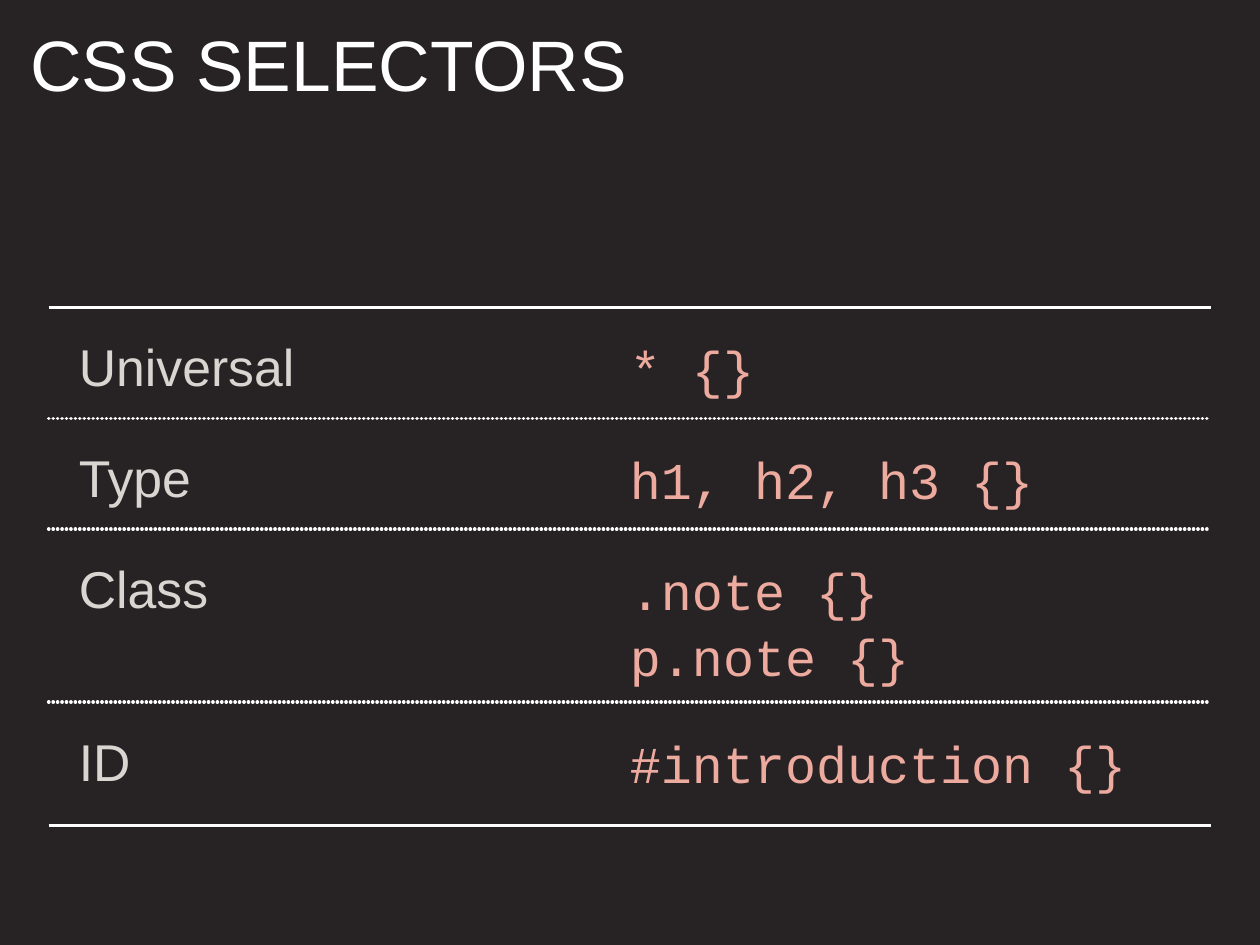
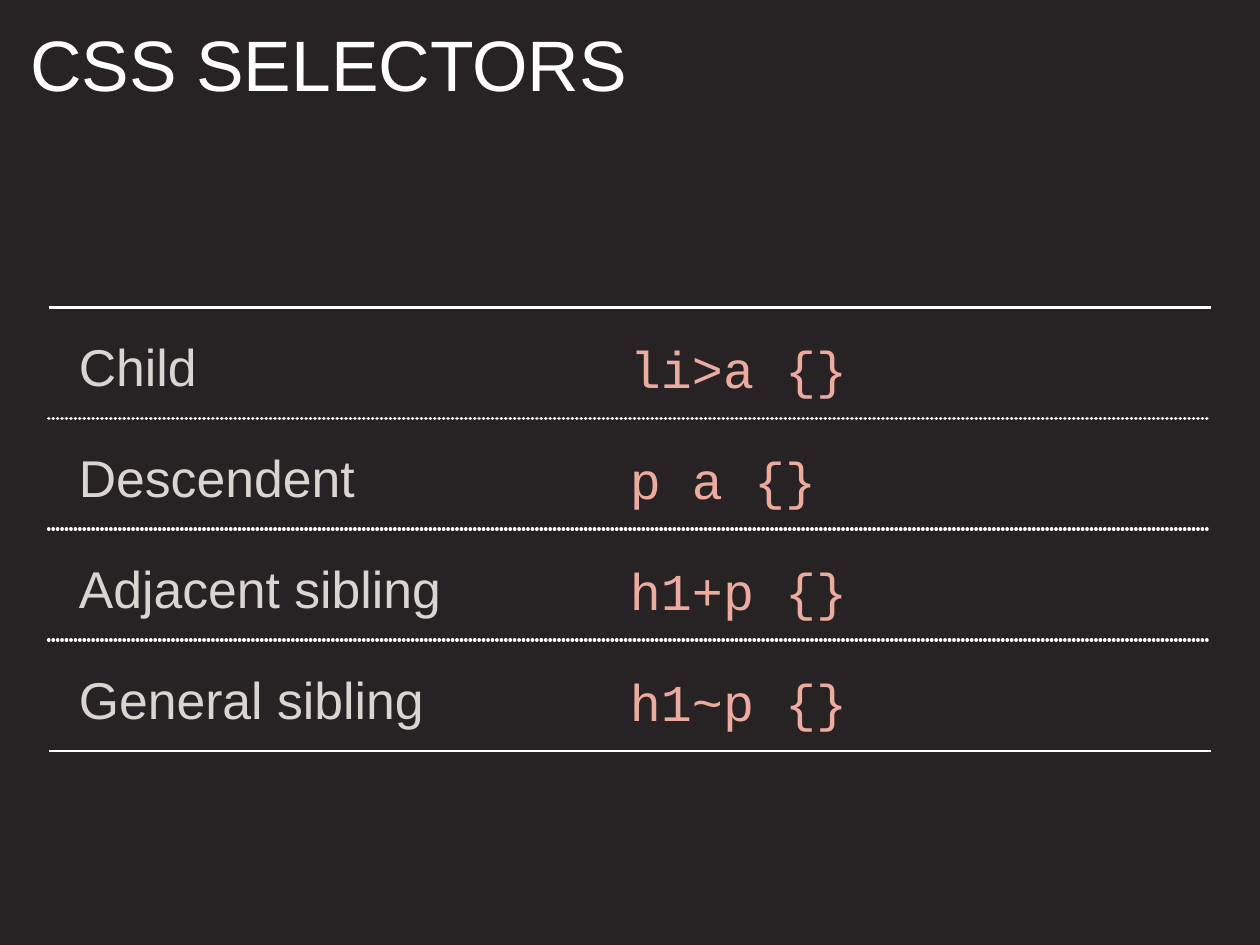
from typing import NamedTuple

from lxml import etree
from pptx import Presentation
from pptx.dml.color import RGBColor
from pptx.enum.shapes import MSO_CONNECTOR
from pptx.enum.text import MSO_ANCHOR
from pptx.oxml.ns import qn
from pptx.util import Inches, Pt

STRAIGHT = MSO_CONNECTOR.STRAIGHT
TOP, MIDDLE = MSO_ANCHOR.TOP, MSO_ANCHOR.MIDDLE

SLIDE_W, SLIDE_H = 14.22, 10.66
BACKGROUND, WHITE = "272224", "FFFFFF"

RULE_LEFT, RULE_RIGHT = 0.55, SLIDE_W - 0.55
TABLE_TOP = 3.47
ROW_H = 1.25
CELL_OFFSET = 0.22
CELL_H, EXTRA_LINE_H = 0.81, 0.69
LEAD = 0.07  # room above the first line of every text


class TextStyle(NamedTuple):
    font: str
    size: int
    colour: str
    spacing: float
    inset: float = 0


class Column(NamedTuple):
    left: float
    width: float
    style: TextStyle


class Row(NamedTuple):
    label: str
    code: str
    height: float = ROW_H
    code_anchor: MSO_ANCHOR = MIDDLE


TITLE = TextStyle("Arial", 58, WHITE, 0.8, 0.06)
LABELS = Column(0.89, 4.31, TextStyle("Arial", 42, "D9D5D1", 1.0))
CODES = Column(SLIDE_W / 2, 6.4, TextStyle("Courier New", 42, "EDAA9F", 1.06))

SLIDES = [
    ("CSS SELECTORS", [
        Row("Universal", "* {}"),
        Row("Type", "h1, h2, h3 {}"),
        Row("Class", ".note {}\np.note {}", 1.95, TOP),
        Row("ID", "#introduction {}", 1.39),
    ]),
    ("CSS SELECTORS", [
        Row("Child", "li>a {}"),
        Row("Descendent", "p a {}"),
        Row("Adjacent sibling", "h1+p {}", code_anchor=TOP),
        Row("General sibling", "h1~p {}"),
    ]),
]


def rgb(colour: str) -> RGBColor:
    return RGBColor.from_string(colour)


def add_text(s, text: str, left: float, top: float, width: float,
             height: float, style: TextStyle, anchor=TOP) -> None:
    sp = s.shapes.add_textbox(*map(Inches, (left, top, width, height)))
    tf = sp.text_frame
    inset = Inches(style.inset)
    frame_format = {
        "word_wrap": True, "vertical_anchor": anchor,
        "margin_left": inset, "margin_right": inset,
        "margin_top": Inches(style.inset + LEAD), "margin_bottom": inset,
    }
    for name, value in frame_format.items():
        setattr(tf, name, value)
    tf.text = text
    for p in tf.paragraphs:
        p.line_spacing = style.spacing
        for r in p.runs:
            for name, value in {"name": style.font, "size": Pt(style.size)}.items():
                setattr(r.font, name, value)
            r.font.color.rgb = rgb(style.colour)


def add_rule(s, y: float, dotted: bool) -> None:
    """Draw a rule across the table: solid at its edges, dotted between rows."""
    rule = s.shapes.add_connector(
        STRAIGHT, *map(Inches, (RULE_LEFT, y, RULE_RIGHT, y)))
    rule.line.color.rgb = rgb(WHITE)
    rule.line.width = Pt(3 if dotted else 2)
    sp_pr = rule.line._get_or_add_ln().getparent()
    if dotted:
        ln = sp_pr.find(qn("a:ln"))
        ln.set("cap", "rnd")
        dash = etree.SubElement(ln, qn("a:custDash"))
        etree.SubElement(dash, qn("a:ds"), d="100000", sp="20000")
    etree.SubElement(sp_pr, qn("a:effectLst"))


def add_rows(s, rows: list[Row]) -> None:
    y = TABLE_TOP
    add_rule(s, y, dotted=False)
    for i, row in enumerate(rows, 1):
        cells = [(LABELS, row.label, MIDDLE), (CODES, row.code, row.code_anchor)]
        for column, text, anchor in cells:
            height = CELL_H + EXTRA_LINE_H * text.count("\n")
            add_text(s, text, column.left, y + CELL_OFFSET, column.width,
                     height, column.style, anchor)
        y += row.height
        add_rule(s, y, dotted=i < len(rows))


def add_slide(prs, title: str, rows: list[Row]) -> None:
    s = prs.slides.add_slide(prs.slide_layouts[6])
    fill = s.background.fill
    fill.solid()
    fill.fore_color.rgb = rgb(BACKGROUND)
    add_text(s, title, 0.28, 0.28, 13.61, SLIDE_H / 4, TITLE)
    add_rows(s, rows)


def main() -> None:
    prs = Presentation()
    prs.slide_width, prs.slide_height = Inches(SLIDE_W), Inches(SLIDE_H)
    for title, rows in SLIDES:
        add_slide(prs, title, rows)
    prs.save("out.pptx")


if __name__ == "__main__":
    main()
